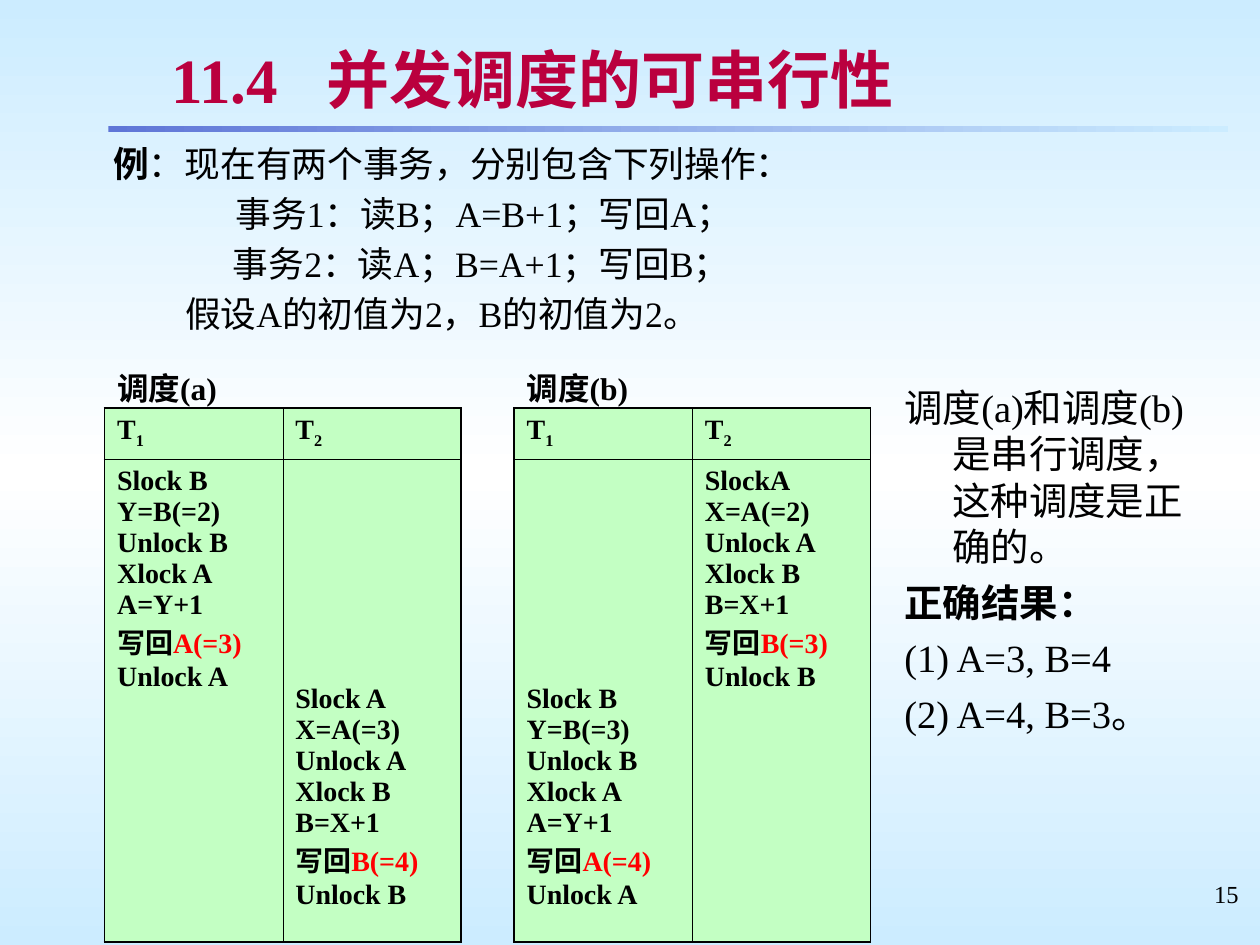
import pptx
import pptx.dml.color
import pptx.enum.lang
import pptx.enum.shapes
import pptx.enum.text
import pptx.oxml
import pptx.oxml.ns
import pptx.util
from lxml import etree
from pptx.util import Inches

COLORS = {"black": "000000", "red": "FF0000", "title": "BA003E", "shadow": "C0C0C0",
          "cell": "C3FFC3", "sky": "CCECFF", "white": "FFFFFF", "rule": "5F76D7"}
FONT = "Times New Roman"
THICK, THIN = 1.08, 0.45
QN = pptx.oxml.ns.qn


def rgb(name):
    """Return the named colour."""
    return pptx.dml.color.RGBColor.from_string(COLORS[name])


def set_gradient(fill, element, stops, angle):
    """Fill with a linear gradient of (position, colour name) stops."""
    fill.gradient()
    fill.gradient_angle = angle
    stop_list = element.find(".//" + QN("a:gsLst"))
    for stop in list(stop_list):
        stop_list.remove(stop)
    for position, name in stops:
        stop = etree.SubElement(stop_list, QN("a:gs"), pos=str(position * 1000))
        etree.SubElement(stop, QN("a:srgbClr"), val=COLORS[name])


def add_run(paragraph, text, size, bold=False, color="black"):
    """Append a formatted run to the paragraph."""
    run = paragraph.add_run()
    run.text = text
    font = run.font
    font.name, font.size, font.bold = FONT, pptx.util.Pt(size), bold
    font.color.rgb = rgb(color)
    font.language_id = pptx.enum.lang.MSO_LANGUAGE_ID.SIMPLIFIED_CHINESE
    return run


def add_paragraph(text_frame, index, space=0, margin=0, indent=0):
    """Return the paragraph at the index with its spacing and indents set."""
    paragraph = text_frame.add_paragraph() if index else text_frame.paragraphs[0]
    if index and space:
        paragraph.space_before = pptx.util.Pt(space)
    if margin:
        properties = paragraph._p.get_or_add_pPr()
        properties.set("marL", str(Inches(margin)))
        properties.set("indent", str(Inches(indent)))
    return paragraph


def add_text_box(slide, box):
    """Add a wrapping text box and return its text frame."""
    text_frame = slide.shapes.add_textbox(*map(Inches, box)).text_frame
    text_frame.word_wrap = True
    return text_frame


def add_title(slide, box):
    """Add the shadowed heading with its number set off by a tab."""
    text_frame = add_text_box(slide, box)
    text_frame.vertical_anchor = pptx.enum.text.MSO_ANCHOR.MIDDLE
    text_frame.margin_top = text_frame.margin_bottom = Inches(0.04)
    paragraph = text_frame.paragraphs[0]
    tabs = etree.SubElement(paragraph._p.get_or_add_pPr(), QN("a:tabLst"))
    etree.SubElement(tabs, QN("a:tab"), pos=str(Inches(1.23)), algn="l")
    run = add_run(paragraph, "11.4\t并发调度的可串行性", 36, True, "title")
    effects = pptx.oxml.parse_xml(
        f'<a:effectLst {pptx.oxml.ns.nsdecls("a")}><a:outerShdw dist="35921" dir="2700000">'
        f'<a:srgbClr val="{COLORS["shadow"]}"/></a:outerShdw></a:effectLst>')
    run.font._element.find(QN("a:solidFill")).addnext(effects)


def add_rule(slide, box):
    """Add the fading bar under the heading."""
    shape = slide.shapes.add_shape(pptx.enum.shapes.MSO_SHAPE.RECTANGLE, *map(Inches, box))
    shape.shadow.inherit = False
    shape.line.fill.background()
    set_gradient(shape.fill, shape.element, [(0, "rule"), (100, "sky")], 0)


def add_example(slide, box):
    """Add the statement of the two transactions."""
    text_frame = add_text_box(slide, box)
    lines = [(0.38, [("例", True), ("：现在有两个事务，分别包含下列操作：", False)]),
             (1.35, [("事务1：读B；A=B+1；写回A；", False)]),
             (1.33, [("事务2：读A；B=A+1；写回B；", False)]),
             (0.95, [("假设A的初值为2，B的初值为2。", False)])]
    for index, (margin, runs) in enumerate(lines):
        paragraph = add_paragraph(text_frame, index, 4.1, margin)
        for text, bold in runs:
            add_run(paragraph, text, 20.4, bold)


def set_borders(cell, left=0, right=0, top=0, bottom=0):
    """Draw the cell borders of the given widths and hide those of zero width."""
    properties = cell._tc.get_or_add_tcPr()
    widths = [("a:lnL", left), ("a:lnR", right), ("a:lnT", top), ("a:lnB", bottom)]
    for position, (tag, width) in enumerate(widths):
        line = etree.Element(QN(tag), w=str(pptx.util.Pt(width)))
        fill = etree.SubElement(line, QN("a:solidFill" if width else "a:noFill"))
        if width:
            etree.SubElement(fill, QN("a:srgbClr"), val=COLORS["black"])
        properties.insert(position, line)


def fill_steps(cell, lock, read, target, value, late):
    """Write the steps of one transaction, lower down if it runs second."""
    variable, source = ("Y", "B") if target == "A" else ("X", "A")
    steps = [lock, f"{variable}={source}(={read})", f"Unlock {source}", f"Xlock {target}",
             f"{target}={variable}+1", "写回", f"Unlock {target}"]
    cell.margin_top = Inches(1.78 if late else 0.05)
    for index, step in enumerate(steps):
        paragraph = add_paragraph(cell.text_frame, index)
        add_run(paragraph, step, 16, True)
        if step == "写回":
            add_run(paragraph, f"{target}(={value})", 16, True, "red")


def add_schedule(slide, box, caption, transactions):
    """Add one schedule table with a column for each transaction."""
    frame = slide.shapes.add_table(3, 2, *map(Inches, box))
    table = frame.table
    table.first_row = table.horz_banding = False
    for column in table.columns:
        column.width = Inches(box[2] / 2)
    for row, height in zip(table.rows, (0.4, 0.4, 3.83)):
        row.height = Inches(height)
    heading = table.cell(0, 0)
    heading.merge(table.cell(0, 1))
    add_run(heading.text_frame.paragraphs[0], caption, 18, True)
    for cell in table.rows[0].cells:
        cell.fill.background()
        set_borders(cell, bottom=THICK)
    for index, transaction in enumerate(transactions):
        sides = {"left": THIN if index else THICK, "right": THICK if index else THIN}
        name, steps = table.cell(1, index), table.cell(2, index)
        paragraph = name.text_frame.paragraphs[0]
        add_run(paragraph, "T", 16, True)
        subscript = add_run(paragraph, str(index + 1), 16, True)
        subscript.font._element.set("baseline", "-25000")
        fill_steps(steps, *transaction)
        for cell, top, bottom in ((name, THICK, THIN), (steps, THIN, THICK)):
            cell.fill.solid()
            cell.fill.fore_color.rgb = rgb("cell")
            set_borders(cell, top=top, bottom=bottom, **sides)


def add_conclusion(slide, box):
    """Add the remark on both schedules and the correct results."""
    text_frame = add_text_box(slide, box)
    lines = ["调度(a)和调度(b)是串行调度，这种调度是正确的。", "正确结果：",
             "(1) A=3, B=4", "(2) A=4, B=3。"]
    for index, line in enumerate(lines):
        paragraph = add_paragraph(text_frame, index, 5.5, 0.38, -0.38)
        add_run(paragraph, line, 22, index == 1)


def add_page_number(slide, box):
    """Add the page number at the lower right."""
    paragraph = add_text_box(slide, box).paragraphs[0]
    paragraph.alignment = pptx.enum.text.PP_ALIGN.RIGHT
    add_run(paragraph, "15", 14)


def main():
    """Build the slide and save it."""
    presentation = pptx.Presentation()
    presentation.slide_width, presentation.slide_height = Inches(10), Inches(7.5)
    slide = presentation.slides.add_slide(presentation.slide_layouts[6])
    set_gradient(slide.background.fill, slide.element,
                 [(0, "sky"), (50, "white"), (100, "sky")], 270)
    add_rule(slide, (0.86, 1, 8.89, 0.05))
    add_page_number(slide, (7.6, 6.93, 2.33, 0.52))
    add_title(slide, (1.26, 0.29, 8.24, 0.67))
    add_example(slide, (0.42, 1.08, 9.25, 1.67))
    add_schedule(slide, (0.83, 2.84, 2.83, 4.63), "调度(a)",
                 [("Slock B", 2, "A", 3, False), ("Slock A", 3, "B", 4, True)])
    add_schedule(slide, (4.08, 2.84, 2.83, 4.63), "调度(b)",
                 [("Slock B", 3, "A", 4, True), ("SlockA", 2, "B", 3, False)])
    add_conclusion(slide, (7.08, 3, 2.56, 4.08))
    add_page = None
    presentation.save("out.pptx")


if __name__ == "__main__":
    main()
